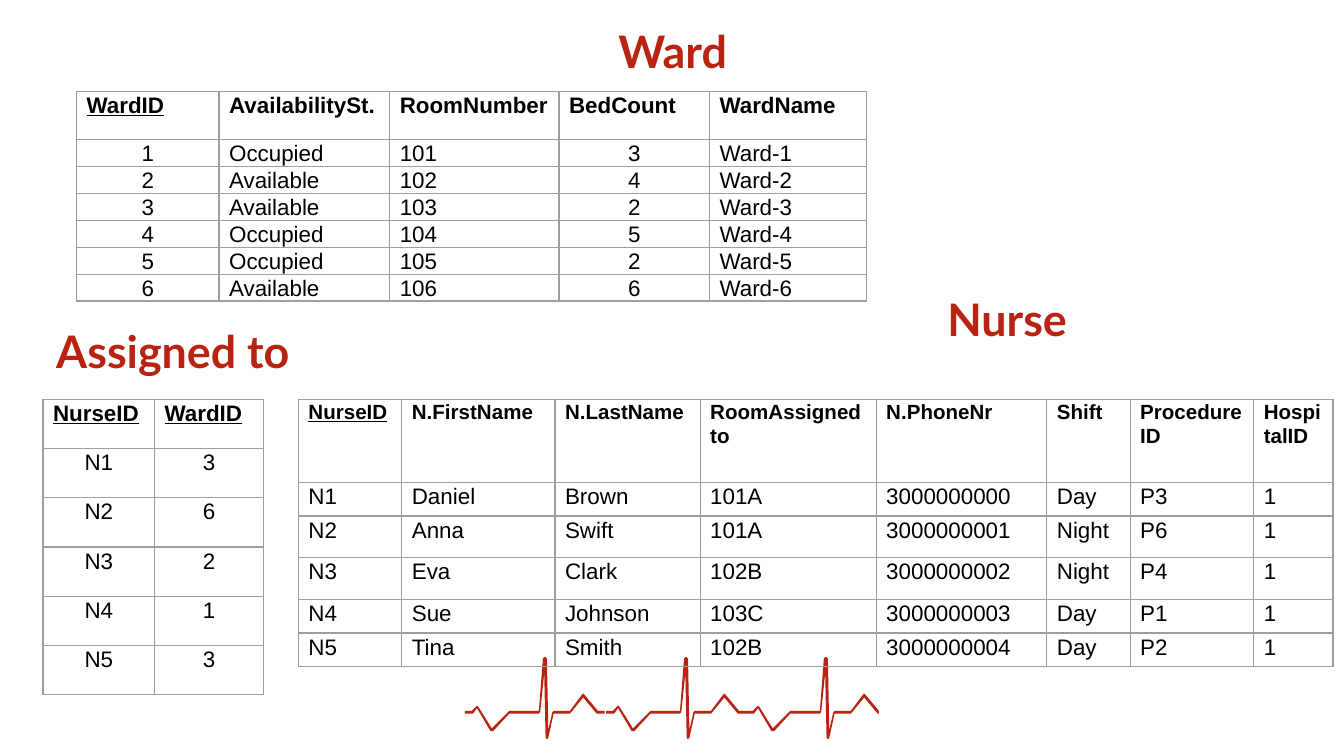
"""Build the hospital slide with the Ward, Assigned to and Nurse tables."""
import lxml.etree
import pptx
import pptx.dml.color
import pptx.enum.text
import pptx.oxml.ns
import pptx.util

Inches, Pt = pptx.util.Inches, pptx.util.Pt
PP_ALIGN = pptx.enum.text.PP_ALIGN

THEME = {
    "accent": "B82312", "text": "000000", "border": "9E9E9E", "border_pt": 0.75,
    "title_font": "Lato", "body_font": "Arial", "title_pt": 24, "body_pt": 12,
    "cell_margin_pt": 5.4,
}

TITLE = ("Ward", (0.79, 0.08, 8.43, 0.5))
HEADINGS = [
    ("Assigned to", (0.32, 2.36, 2.08, 0.5)),
    ("Nurse", (6.95, 2.12, 1.49, 0.5)),
]

TABLES = [
    {
        "at": (0.57, 0.68), "header_pt": 12, "keys": {0}, "centred": {0, 3},
        "cols": [1.06, 1.27, 1.26, 1.12, 1.17], "heights": [0.36] + [0.2] * 6,
        "rows": [
            ("WardID", "AvailabilitySt.", "RoomNumber", "BedCount", "WardName"),
            ("1", "Occupied", "101", "3", "Ward-1"),
            ("2", "Available", "102", "4", "Ward-2"),
            ("3", "Available", "103", "2", "Ward-3"),
            ("4", "Occupied", "104", "5", "Ward-4"),
            ("5", "Occupied", "105", "2", "Ward-5"),
            ("6", "Available", "106", "6", "Ward-6"),
        ],
    },
    {
        "at": (0.32, 2.97), "header_pt": 12, "keys": {0, 1}, "centred": {0, 1},
        "cols": [0.83, 0.81], "heights": [2.2 / 6] * 6,
        "rows": [("NurseID", "WardID"), ("N1", "3"), ("N2", "6"),
                 ("N3", "2"), ("N4", "1"), ("N5", "3")],
    },
    {
        "at": (2.22, 2.97), "header_pt": 11, "keys": {0}, "centred": set(),
        "cols": [0.77, 1.14, 1.08, 1.31, 1.27, 0.62, 0.92, 0.59],
        "heights": [0.62, 0.25, 0.31, 0.31, 0.25, 0.25],
        "rows": [
            ("NurseID", "N.FirstName", "N.LastName", "RoomAssignedto",
             "N.PhoneNr", "Shift", "ProcedureID", "HospitalID"),
            ("N1", "Daniel", "Brown", "101A", "3000000000", "Day", "P3", "1"),
            ("N2", "Anna", "Swift", "101A", "3000000001", "Night", "P6", "1"),
            ("N3", "Eva", "Clark", "102B", "3000000002", "Night", "P4", "1"),
            ("N4", "Sue", "Johnson", "103C", "3000000003", "Day", "P1", "1"),
            ("N5", "Tina", "Smith", "102B", "3000000004", "Day", "P2", "1"),
        ],
    },
]

UNITS_PER_INCH = 1000
PULSE_TOP = 4.89
PULSES = [(3.46, 1.04), (4.51, 1.04), (5.55, 0.99)]
PULSE = [
    (0.6, 0), (0.61, 0.01), (0.62, 0.54), (0.65, 0.41), (0.66, 0.4), (0.78, 0.4),
    (0.87, 0.28), (0.88, 0.27), (0.89, 0.28), (0.99, 0.4), (1.04, 0.4), (1.04, 0.42),
    (0.98, 0.42), (0.88, 0.3), (0.79, 0.41), (0.78, 0.42), (0.66, 0.42), (0.62, 0.6),
    (0.61, 0.61), (0.6, 0.6), (0.59, 0.12), (0.56, 0.41), (0.55, 0.42), (0.33, 0.42),
    (0.21, 0.55), (0.19, 0.55), (0.09, 0.38), (0.06, 0.42), (0, 0.42), (0, 0.4),
    (0.05, 0.4), (0.08, 0.37), (0.09, 0.36), (0.1, 0.37), (0.2, 0.53), (0.32, 0.41),
    (0.33, 0.4), (0.55, 0.4), (0.58, 0.01), (0.59, 0),
]


def rgb(name):
    return pptx.dml.color.RGBColor.from_string(THEME[name])


def set_font(p, font, size, color, bold):
    p.font.name, p.font.size, p.font.bold = THEME[font], Pt(size), bold
    p.font.color.rgb = rgb(color)


def add_pulse(slide, left, width):
    points = [((left + min(x, width)) * UNITS_PER_INCH,
               (PULSE_TOP + y) * UNITS_PER_INCH) for x, y in PULSE]
    builder = slide.shapes.build_freeform(*points[0], scale=Inches(1) / UNITS_PER_INCH)
    builder.add_line_segments(points[1:], close=True)
    sp = builder.convert_to_shape()
    sp.shadow.inherit = False
    sp.fill.solid()
    sp.fill.fore_color.rgb = rgb("accent")
    sp.line.fill.background()


def write_heading(sp, text, box):
    sp.left, sp.top, sp.width, sp.height = map(Inches, box)
    tf = sp.text_frame
    tf.word_wrap = True
    tf.auto_size = pptx.enum.text.MSO_AUTO_SIZE.NONE
    tf.vertical_anchor = pptx.enum.text.MSO_ANCHOR.TOP
    tf.text = text
    set_font(tf.paragraphs[0], "title_font", THEME["title_pt"], "accent", True)
    return tf


def add_borders(cell):
    tc_pr = cell._tc.get_or_add_tcPr()
    qn = pptx.oxml.ns.qn
    for i, side in enumerate(("lnL", "lnR", "lnT", "lnB")):
        ln = lxml.etree.Element(qn("a:" + side), w=str(Pt(THEME["border_pt"])))
        fill = lxml.etree.SubElement(ln, qn("a:solidFill"))
        lxml.etree.SubElement(fill, qn("a:srgbClr"), val=THEME["border"])
        tc_pr.insert(i, ln)


def write_cell(cell, text, size, header, key, centred):
    cell.margin_left = cell.margin_right = Pt(THEME["cell_margin_pt"])
    cell.margin_top = cell.margin_bottom = 0
    cell.fill.background()
    add_borders(cell)
    cell.text = text
    p = cell.text_frame.paragraphs[0]
    p.line_spacing = 1.07
    p.alignment = PP_ALIGN.CENTER if centred else PP_ALIGN.LEFT
    set_font(p, "body_font", size, "text", header)
    p.font.underline = key


def add_grid(slide, spec):
    rows, cols, heights = spec["rows"], spec["cols"], spec["heights"]
    box = (*spec["at"], sum(cols), sum(heights))
    table = slide.shapes.add_table(len(rows), len(cols), *map(Inches, box)).table
    table.first_row = table.horz_banding = False
    for column, width in zip(table.columns, cols):
        column.width = Inches(width)
    for i, (row, height) in enumerate(zip(rows, heights)):
        table.rows[i].height = Inches(height)
        header = i == 0
        size = spec["header_pt"] if header else THEME["body_pt"]
        for j, text in enumerate(row):
            write_cell(table.cell(i, j), text, size, header,
                       header and j in spec["keys"],
                       not header and j in spec["centred"])


def main():
    prs = pptx.Presentation()
    prs.slide_width = Inches(10)
    prs.slide_height = prs.slide_width * 9 // 16
    slide = prs.slides.add_slide(prs.slide_layouts[5])
    for left, width in PULSES:
        add_pulse(slide, left, width)
    tf = write_heading(slide.shapes.title, *TITLE)
    tf.margin_left = tf.margin_right = tf.margin_top = tf.margin_bottom = Inches(0.1)
    tf.paragraphs[0].alignment = PP_ALIGN.CENTER
    for text, box in HEADINGS:
        write_heading(slide.shapes.add_textbox(*map(Inches, box)), text, box)
    for spec in TABLES:
        add_grid(slide, spec)
    prs.save("out.pptx")


if __name__ == "__main__":
    main()
